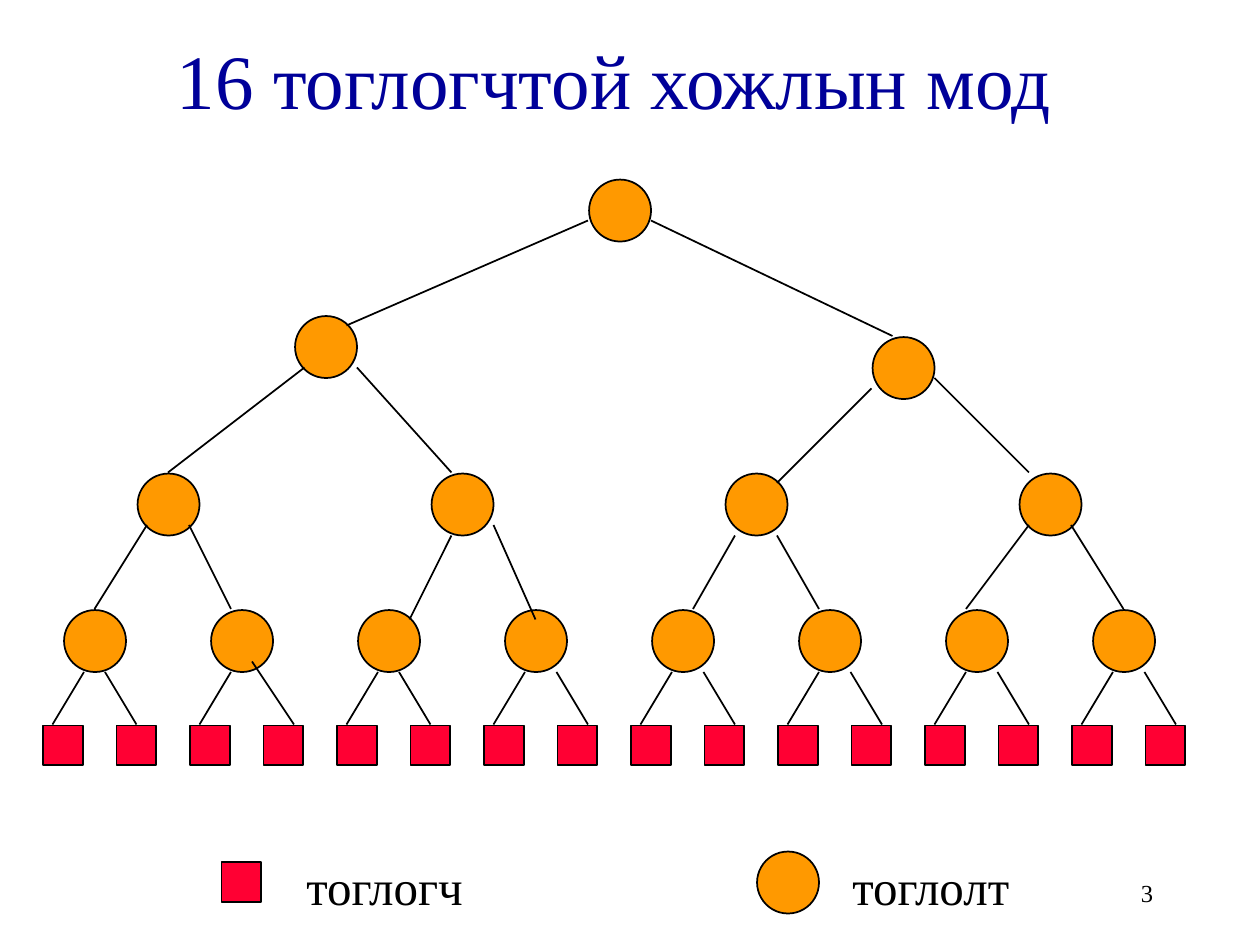
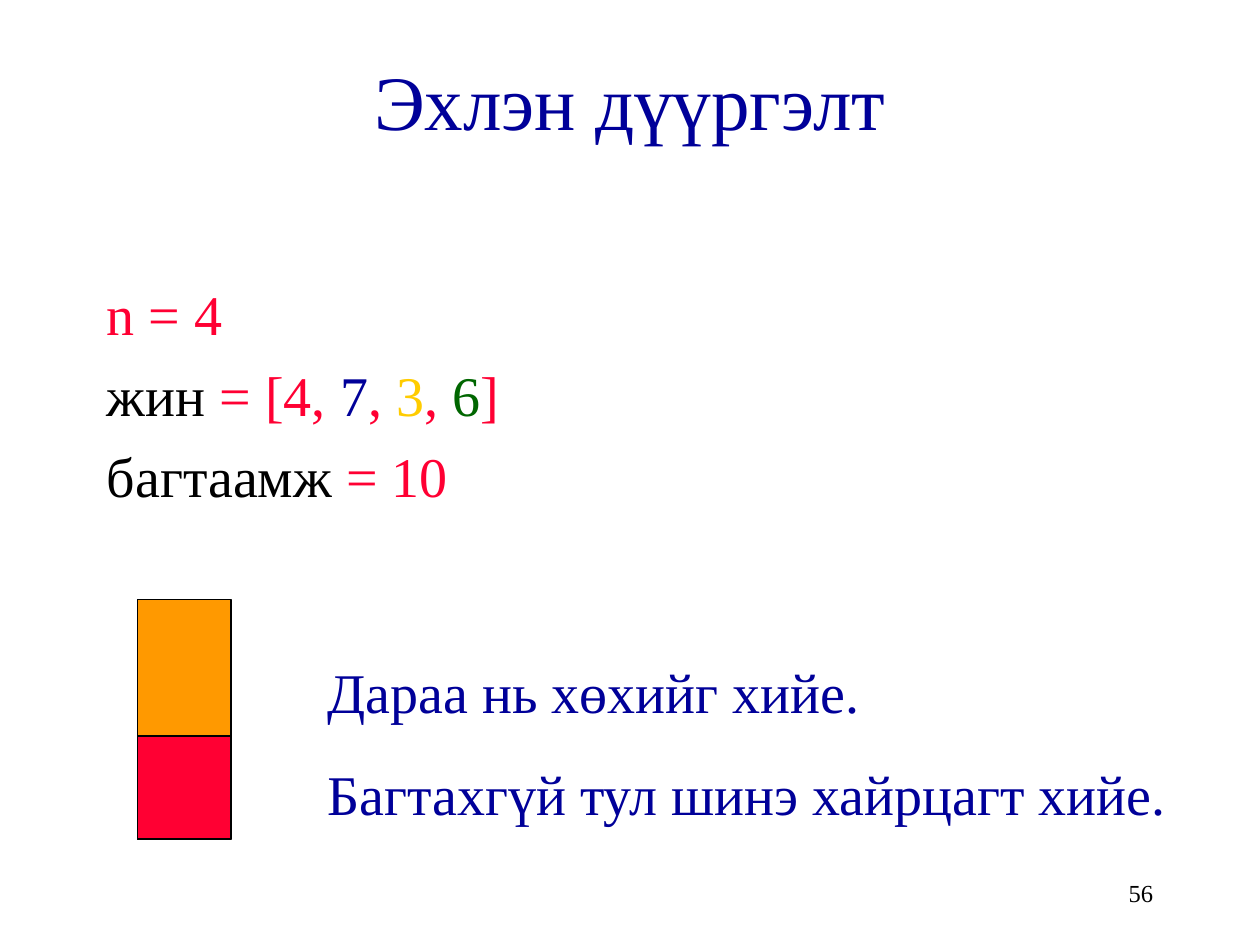
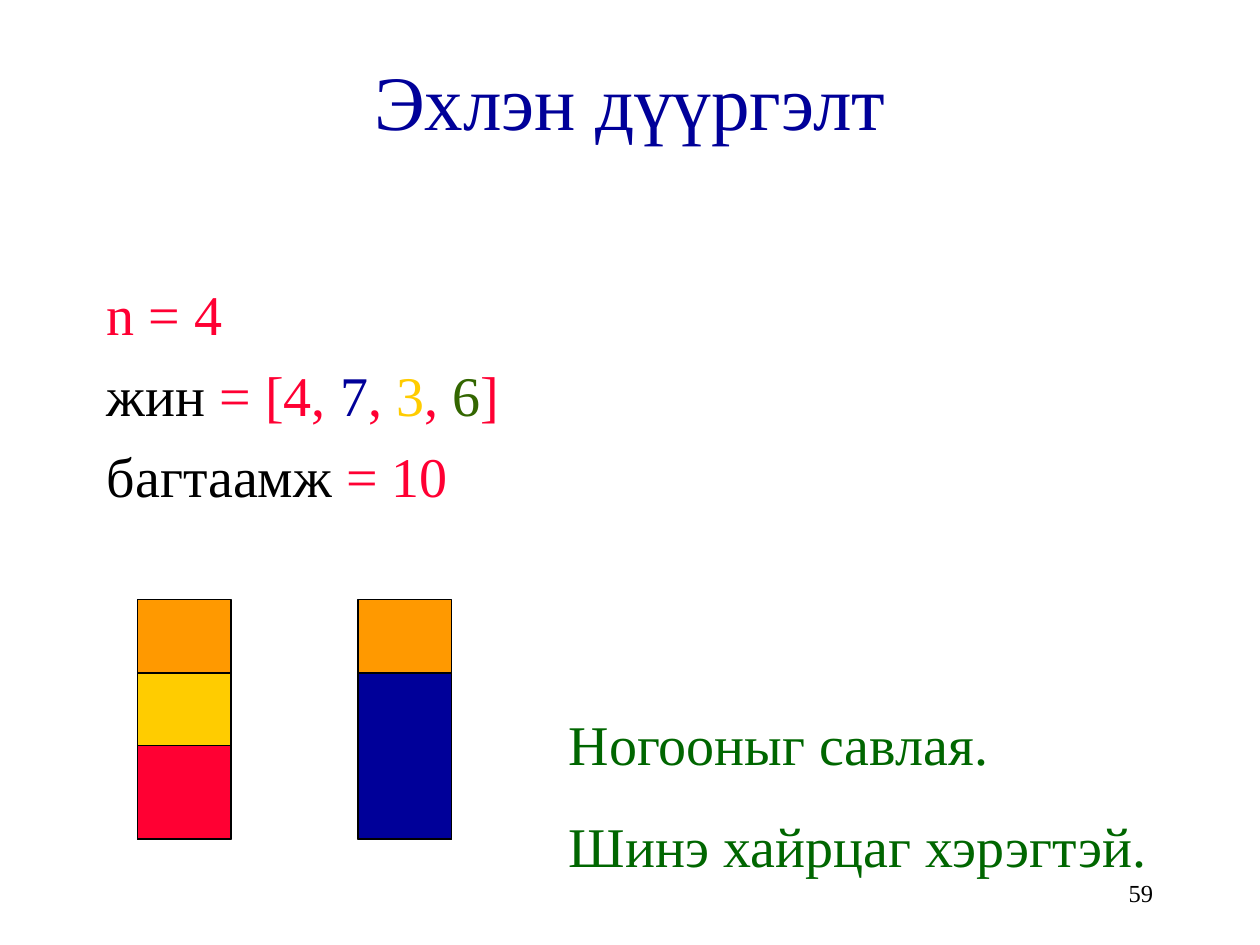
from lxml.etree import SubElement
from pptx import Presentation
from pptx.dml.color import RGBColor
from pptx.enum.shapes import MSO_CONNECTOR as Conn, MSO_SHAPE as Kind
from pptx.enum.text import MSO_ANCHOR as Anchor, MSO_AUTO_SIZE as Fit, PP_ALIGN as Align
from pptx.oxml.ns import qn
from pptx.util import Emu, Pt

# Shared style: 120 px to the inch
SCALE = 7620
FONT = "Times New Roman"
BLACK, NAVY, RED = "000000", "000099", "FF0033"
ORANGE, YELLOW, GREEN, OLIVE = "FF9900", "FFCC00", "006600", "336600"
BALL, SQUARE = 59, 38


def px(*vals):
    return [Emu(v * SCALE) for v in vals]


def color(code):
    return RGBColor.from_string(code)


def style(para, size, code=None):
    para.font.name = FONT
    para.font.size = Pt(size)
    if code:
        para.font.color.rgb = color(code)


def shape(slide, kind, box, fill):
    item = slide.shapes.add_shape(kind, *px(*box))
    item.shadow.inherit = False
    item.fill.solid()
    item.fill.fore_color.rgb = color(fill)
    item.line.color.rgb = color(BLACK)
    item.line.width = Pt(1)


def ball(slide, x, y):
    shape(slide, Kind.OVAL, (x, y, BALL, BALL), ORANGE)


def square(slide, x, y):
    shape(slide, Kind.RECTANGLE, (x, y, SQUARE, SQUARE), RED)


def edge(slide, *ends):
    line = slide.shapes.add_connector(Conn.STRAIGHT, *px(*ends))
    line.line.color.rgb = color(BLACK)
    line.line.width = Pt(1)
    SubElement(line._element.spPr, qn("a:effectLst"))


def text(slide, box, rows, size, gap=0):
    """Each row is a list of (words, colour) runs."""
    frame = slide.shapes.add_textbox(*px(*box)).text_frame
    frame.word_wrap = True
    for i, row in enumerate(rows):
        para = frame.add_paragraph() if i else frame.paragraphs[0]
        for words, code in row:
            run = para.add_run()
            run.text = words
            if len(row) > 1:
                run.font.color.rgb = color(code)
        style(para, size, row[0][1] if len(row) == 1 else None)
        if i:
            para.space_before = Pt(gap)
    return frame


# Title and page number
def start(deck, title, box, page):
    slide = deck.slides.add_slide(deck.slide_layouts[5])
    head = slide.shapes.title
    head.left, head.top, head.width, head.height = px(*box)
    frame = head.text_frame
    frame.text = title
    frame.auto_size = Fit.NONE
    frame.vertical_anchor = Anchor.MIDDLE
    para = frame.paragraphs[0]
    para.alignment = Align.CENTER
    style(para, 44, NAVY)

    foot = text(slide, (860, 820, 250, 60), [[(page, BLACK)]], 14)
    foot.vertical_anchor = Anchor.MIDDLE
    foot.paragraphs[0].alignment = Align.RIGHT
    return slide


# Tournament tree, measured from its top left corner
def tree(slide, left, top):
    for i in range(16):
        square(slide, left + 70 * i, top + 520)
    for i in range(8):
        ball(slide, left + 20 + 140 * i, top + 410)
    for i in range(4):
        ball(slide, left + 90 + 280 * i, top + 280)
    for x, y in ((240, 130), (790, 150), (520, 0)):
        ball(slide, left + x, top + y)

    # Branches between matches
    branches = (
        (519, 39, 289, 139), (579, 39, 809, 149),
        (249, 179, 119, 279), (299, 179, 389, 279),
        (789, 199, 699, 289), (849, 189, 939, 279),
        (99, 329, 49, 409), (139, 329, 179, 409),
        (389, 339, 349, 419), (429, 329, 469, 419),
        (659, 339, 619, 409), (699, 339, 739, 409),
        (939, 329, 879, 409), (979, 329, 1029, 409),
    )
    for x1, y1, x2, y2 in branches:
        edge(slide, left + x1, top + y1, left + x2, top + y2)

    # Branches down to the players
    low, end = top + 469, top + 519
    for i in range(8):
        x = left + 39 + 140 * i
        edge(slide, x, low, x - 30, end)
        if i == 1:
            edge(slide, x + 20, low - 10, x + 60, end)
        else:
            x += 30 if i > 2 else 20
            edge(slide, x, low, x + 30, end)


def legend(slide, left, top):
    square(slide, left, top + 10)
    text(slide, (left + 69, top - 1, 270, 68), [[("тоглогч", BLACK)]], 28)
    ball(slide, left + 510, top)
    text(slide, (left + 589, top - 1, 310, 68), [[("тоглолт", BLACK)]], 28)


# Bin with (offset, height, colour) items in it
def bin_box(slide, left, top, items):
    for y, high, fill in [(0, 228, ORANGE), *items]:
        shape(slide, Kind.RECTANGLE, (left, top + y, 89, high), fill)


def packing(deck, page, last, bins, note, code, lines):
    slide = start(deck, "Эхлэн дүүргэлт", (90, 20, 1020, 150), page)
    rows = [
        [("n = 4", RED)],
        [("жин ", BLACK), ("= [4, ", RED), ("7", NAVY), (", ", RED),
         ("3", YELLOW), (", ", RED), ("6", last), ("]", RED)],
        [("багтаамж ", BLACK), ("= 10", RED)],
    ]
    text(slide, (90, 260, 1020, 250), rows, 32, 8)
    for i, items in enumerate(bins):
        bin_box(slide, 131 + 210 * i, 571, items)
    text(slide, note, [[(line, code)] for line in lines], 32, 20)


def main():
    deck = Presentation()
    deck.slide_width, deck.slide_height = px(1200, 900)

    slide = start(deck, "16 тоглогчтой хожлын мод", (0, 0, 1170, 150), "3")
    tree(slide, 41, 171)
    legend(slide, 211, 811)

    packing(deck, "56", GREEN, [[(130, 98, RED)]],
            (300, 620, 870, 174), NAVY,
            ["Дараа нь хөхийг хийе.", "Багтахгүй тул шинэ хайрцагт хийе."])
    packing(deck, "59", OLIVE,
            [[(139, 89, RED), (70, 69, YELLOW)], [(70, 158, NAVY)]],
            (530, 670, 650, 174), GREEN,
            ["Ногооныг савлая.", "Шинэ хайрцаг хэрэгтэй."])
    deck.save("out.pptx")


if __name__ == "__main__":
    main()
